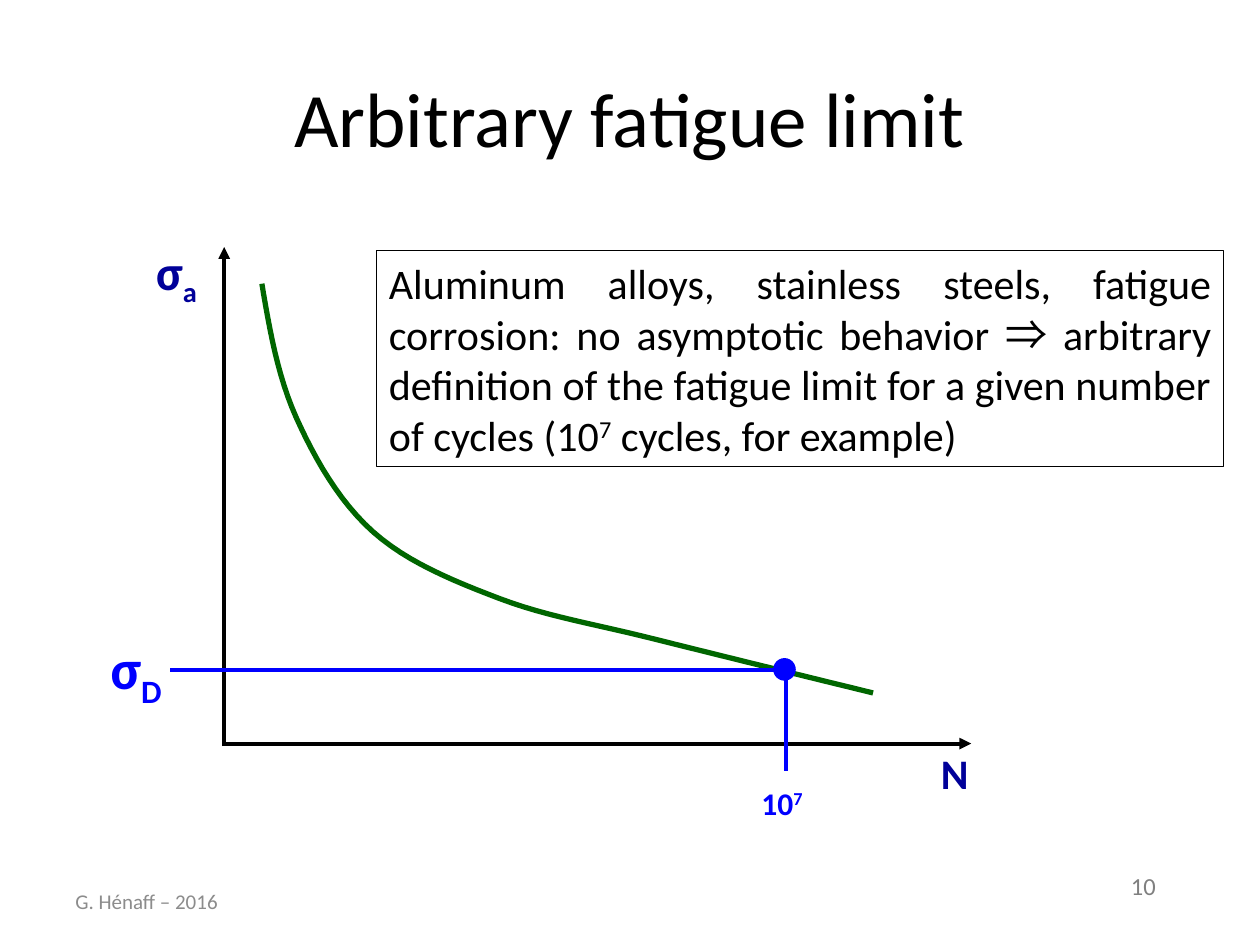
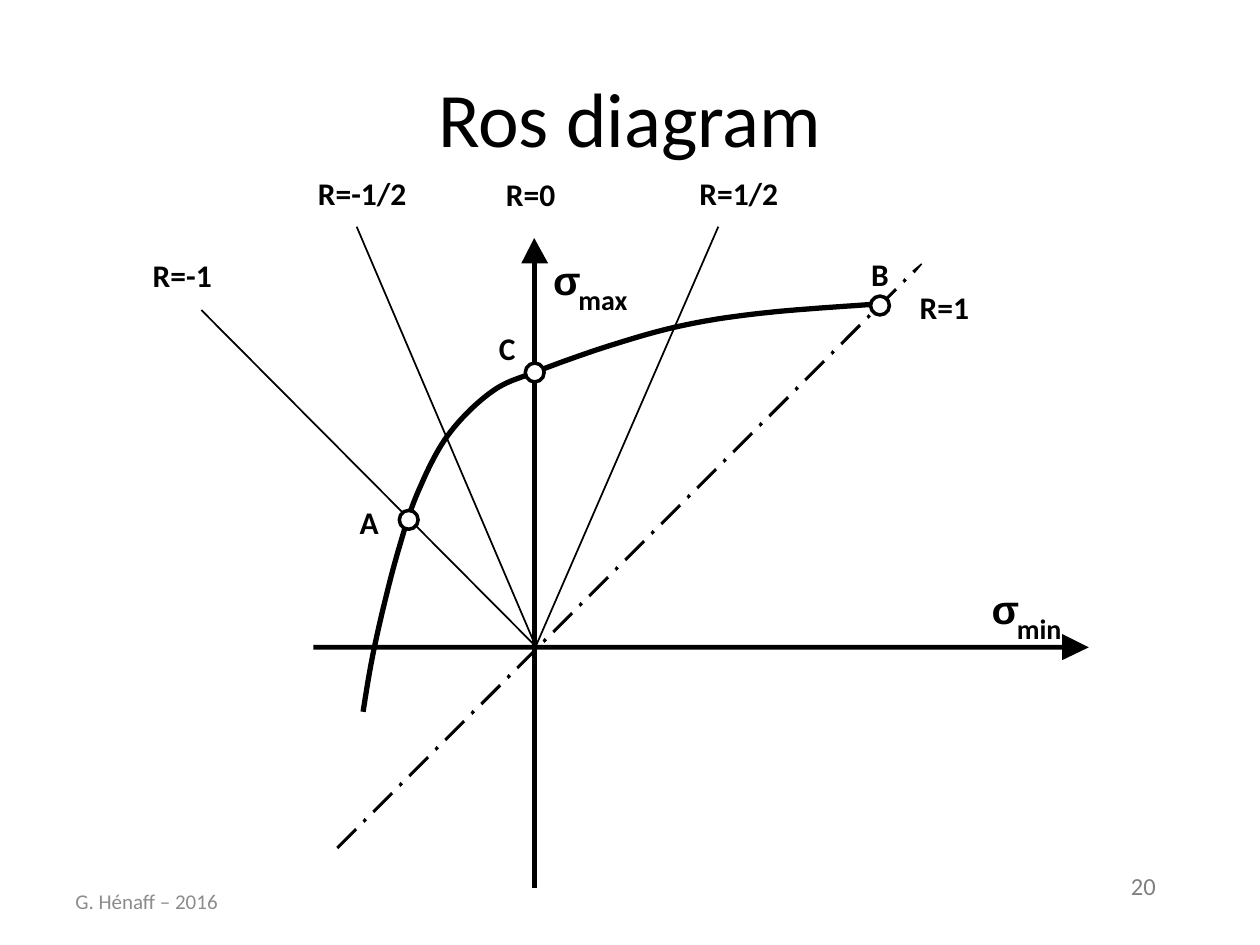
from lxml import etree
from pptx import Presentation
from pptx.dml.color import RGBColor
from pptx.enum import shapes, text
from pptx.oxml import ns
from pptx.util import Cm, Pt

BLACK = RGBColor(0, 0, 0)
WHITE = RGBColor(255, 255, 255)
NAVY = RGBColor(0, 0, 0x99)
BLUE = RGBColor(0, 0, 255)
GREEN = RGBColor(0, 0x66, 0)
FOOTER_GREY = RGBColor(0x8C, 0x8C, 0x8C)
NUMBER_GREY = RGBColor(0x80, 0x80, 0x80)
FONT = "Calibri"
ARROW_FONT = "Noto Sans CJK JP"
SUB, SUPER = -25, 30
FOOTER = "G. Hénaff – 2016"

FATIGUE_CURVE = [(5.28, 5.72), (5.97, 8.41), (7.52, 10.72),
                 (10.08, 12.07), (13.26, 12.9), (17.6, 13.97)]
FATIGUE_LEAD = (5.05, 2.92)
FATIGUE_AXES = [((4.52, 15.04), (4.52, 4.98)), ((4.52, 14.99), (19.58, 14.99))]
LIMIT_LINES = [((15.85, 15.54), (15.85, 13.49)), ((15.88, 13.51), (3.43, 13.51))]
LIMIT_POINT = (15.6, 13.28, 0.43)
FATIGUE_LABELS = [
    ([("σ", 0), ("a", SUB)], (2.9, 4.82, 1.4, 1.45), 28, NAVY),
    ([("N", 0)], (18.72, 14.93, 1.02, 1.3), 24, NAVY),
    ([("10", 0), ("7", SUPER)], (15.1, 15.67, 1.37, 1.02), 18, BLUE),
    ([("σ", 0), ("D", SUB)], (1.98, 12.73, 1.6, 1.63), 32, BLUE),
]
NOTE_AREA = (7.59, 5.05, 17.08, 4.36)
NOTE = [
    ("Aluminum alloys, stainless steels, fatigue corrosion: "
     "no asymptotic behavior ", 0),
    ("⇒ ", 0),
    ("arbitrary definition of the fatigue limit for a given number of cycles (10", 0),
    ("7", SUPER),
    (" cycles, for example)", 0),
]

ROS_AXIS_X = (6.32, 13, 15.09, 0.1)
ROS_OUTLINES = [
    [(21.41, 13.31), (21.95, 13.05), (21.41, 12.78)],
    [(10.72, 17.91), (10.82, 17.91), (10.82, 5.31), (10.72, 5.31)],
    [(11.05, 5.31), (10.77, 4.8), (10.51, 5.31)],
]
ROS_CURVE = [(7.32, 14.35), (7.49, 13.34), (7.72, 12.29), (8.03, 11.1),
             (8.41, 9.96), (9.02, 8.79), (9.91, 7.9), (10.82, 7.49),
             (12.32, 6.96), (13.82, 6.55), (15.49, 6.3), (17.83, 6.12)]
DASH = [(0, 0), (0.04, 0.05), (0.42, -0.33), (0.38, -0.38)]
DOT = [(0.53, -0.53), (0.57, -0.48), (0.62, -0.53), (0.57, -0.58)]
LAST_DASH = [(0, 0), (0.05, 0.05), (0.2, -0.13), (0.18, -0.15)]
DASH_START, DASH_END, DASH_COUNT = (6.78, 17.07), (18.39, 5.46), 16
ORIGIN = (10.8, 13.03)
RAY_ENDS = [(7.19, 4.57), (4.06, 6.25), (14.48, 4.57)]
MARKERS = [(8.05, 10.29), (10.59, 7.32), (17.55, 5.97)]
MARKER_SIZE = 0.38
STRESS_LABELS = [("max", 11.15, 5.15), ("min", 19.99, 11.78)]
RATIO_LABELS = [("R=-1", 3.08, 5.16, 1.65), ("R=-1/2", 6.41, 3.51, 1.8),
                ("R=1/2", 14.1, 3.51, 1.6), ("R=1", 18.54, 5.8, 1.02),
                ("R=0", 10.2, 3.53, 1.02), ("B", 17.56, 5.14, 0.36),
                ("C", 10.06, 6.63, 0.33), ("A", 7.25, 10.15, 0.38)]


def lengths(values):
    return [Cm(value) for value in values]


def write(shape, runs, size, color, bold=False, font=FONT,
          align=text.PP_ALIGN.LEFT, anchor=text.MSO_ANCHOR.MIDDLE,
          wrap=True, margin=None):
    frame = shape.text_frame
    frame.word_wrap = wrap
    frame.auto_size = (text.MSO_AUTO_SIZE.NONE if wrap
                       else text.MSO_AUTO_SIZE.SHAPE_TO_FIT_TEXT)
    frame.vertical_anchor = anchor
    if margin is not None:
        frame.margin_left = frame.margin_right = margin
        frame.margin_top = frame.margin_bottom = margin
    para = frame.paragraphs[0]
    para.alignment = align
    para.font.size = Pt(size)
    para.font.bold = bold
    para.font.name = font
    para.font.color.rgb = color
    for words, baseline in runs:
        span = para.add_run()
        span.text = words
        if baseline:
            span._r.get_or_add_rPr().set("baseline", str(baseline * 1000))
    return para


def add_text(page, runs, area, size, color, **style):
    box = page.shapes.add_textbox(*lengths(area))
    return write(box, runs, size, color, **style)


def add_label(page, words, area, size, font=FONT):
    add_text(page, [(words, 0)], area, size, BLACK, bold=True, font=font,
             anchor=text.MSO_ANCHOR.TOP, wrap=False, margin=0)


def add_line(page, ends, color, width, arrow=False):
    start, end = ends
    line = page.shapes.add_connector(shapes.MSO_CONNECTOR.STRAIGHT,
                                     *lengths(start + end))
    line.line.color.rgb = color
    line.line.width = Pt(width)
    if arrow:
        etree.SubElement(line.line._get_or_add_ln(), ns.qn("a:tailEnd"),
                         type="triangle")
    etree.SubElement(line._element.spPr, ns.qn("a:effectLst"))


def add_shape(page, kind, area, fill, color=None, width=0):
    shape = page.shapes.add_shape(kind, *lengths(area))
    shape.shadow.inherit = False
    shape.fill.solid()
    shape.fill.fore_color.rgb = fill
    if color is None:
        shape.line.fill.background()
    else:
        shape.line.color.rgb = color
        shape.line.width = Pt(width)
    return shape


def add_outline(page, points, close):
    first, *others = [lengths(point) for point in points]
    builder = page.shapes.build_freeform(*first)
    builder.add_line_segments(others, close=close)
    outline = builder.convert_to_shape()
    outline.shadow.inherit = False
    return outline


def add_polygon(page, points, offset=(0, 0)):
    polygon = add_outline(page, [(x + offset[0], y + offset[1]) for x, y in points],
                          close=True)
    polygon.fill.solid()
    polygon.fill.fore_color.rgb = BLACK
    polygon.line.fill.background()


def spline(knots, lead, steps=12):
    padded = [lead, *knots, knots[-1]]
    points = [knots[0]]
    for before, start, end, after in zip(padded, padded[1:], padded[2:], padded[3:]):
        for step in range(1, steps + 1):
            t = step / steps
            points.append(tuple(
                0.5 * (2 * b + (c - a) * t + (2 * a - 5 * b + 4 * c - d) * t ** 2
                       + (3 * b - a - 3 * c + d) * t ** 3)
                for a, b, c, d in zip(before, start, end, after)))
    return points


def add_curve(page, knots, lead, color):
    curve = add_outline(page, spline(knots, lead), close=False)
    curve.fill.background()
    curve.line.color.rgb = color
    curve.line.width = Pt(3)


def add_dashed_diagonal(page):
    (left, top), (right, bottom) = DASH_START, DASH_END
    for index in range(DASH_COUNT):
        share = index / DASH_COUNT
        offset = (left + (right - left) * share, top + (bottom - top) * share)
        add_polygon(page, DASH, offset)
        add_polygon(page, DOT, offset)
    add_polygon(page, LAST_DASH, DASH_END)


def add_page(deck, title, number):
    page = deck.slides.add_slide(deck.slide_layouts[6])
    add_text(page, [(str(number), 0)], (22.55, 17.43, 1.35, 0.86), 14, NUMBER_GREY,
             anchor=text.MSO_ANCHOR.TOP, wrap=False)
    add_text(page, [(title, 0)], (1.27, 0.76, 22.86, 3.18), 44, BLACK,
             align=text.PP_ALIGN.CENTER)
    add_text(page, [(FOOTER, 0)], (1.27, 17.65, 5.92, 1.02), 12, FOOTER_GREY)
    return page


def build_fatigue_limit(deck):
    page = add_page(deck, "Arbitrary fatigue limit", 10)
    add_curve(page, FATIGUE_CURVE, FATIGUE_LEAD, GREEN)
    for axis in FATIGUE_AXES:
        add_line(page, axis, BLACK, 2.25, arrow=True)
    for ends in LIMIT_LINES:
        add_line(page, ends, BLUE, 2.25)
    for runs, area, size, color in FATIGUE_LABELS:
        add_text(page, runs, area, size, color, bold=True, wrap=False)
    left, top, size = LIMIT_POINT
    add_shape(page, shapes.MSO_SHAPE.OVAL, (left, top, size, size), BLUE, BLUE, 0.75)
    note = add_shape(page, shapes.MSO_SHAPE.RECTANGLE, NOTE_AREA, WHITE, BLACK, 0.75)
    para = write(note, NOTE, 24, BLACK, align=text.PP_ALIGN.JUSTIFY)
    arrow = para.runs[1]
    arrow.font.name = ARROW_FONT
    etree.SubElement(arrow._r.get_or_add_rPr(), ns.qn("a:ea"), typeface=ARROW_FONT)


def build_ros_diagram(deck):
    page = add_page(deck, "Ros diagram", 20)
    add_shape(page, shapes.MSO_SHAPE.RECTANGLE, ROS_AXIS_X, BLACK)
    for outline in ROS_OUTLINES:
        add_polygon(page, outline)
    add_dashed_diagonal(page)
    for end in RAY_ENDS:
        add_line(page, (ORIGIN, end), BLACK, 1)
    add_curve(page, ROS_CURVE, ROS_CURVE[0], BLACK)
    for suffix, left, top in STRESS_LABELS:
        add_label(page, "σ", (left, top, 1.02, 1.22), 23, font="Arial")
        add_label(page, suffix, (left + 0.51, top + 0.55, 1.02, 0.69), 16)
    for words, left, top, width in RATIO_LABELS:
        add_label(page, words, (left, top, width, 0.76), 18)
    for left, top in MARKERS:
        add_shape(page, shapes.MSO_SHAPE.OVAL,
                  (left, top, MARKER_SIZE, MARKER_SIZE), WHITE, BLACK, 2)


def main():
    deck = Presentation()
    deck.slide_width, deck.slide_height = Cm(25.4), Cm(19.05)
    build_fatigue_limit(deck)
    build_ros_diagram(deck)
    deck.save("out.pptx")


if __name__ == "__main__":
    main()
